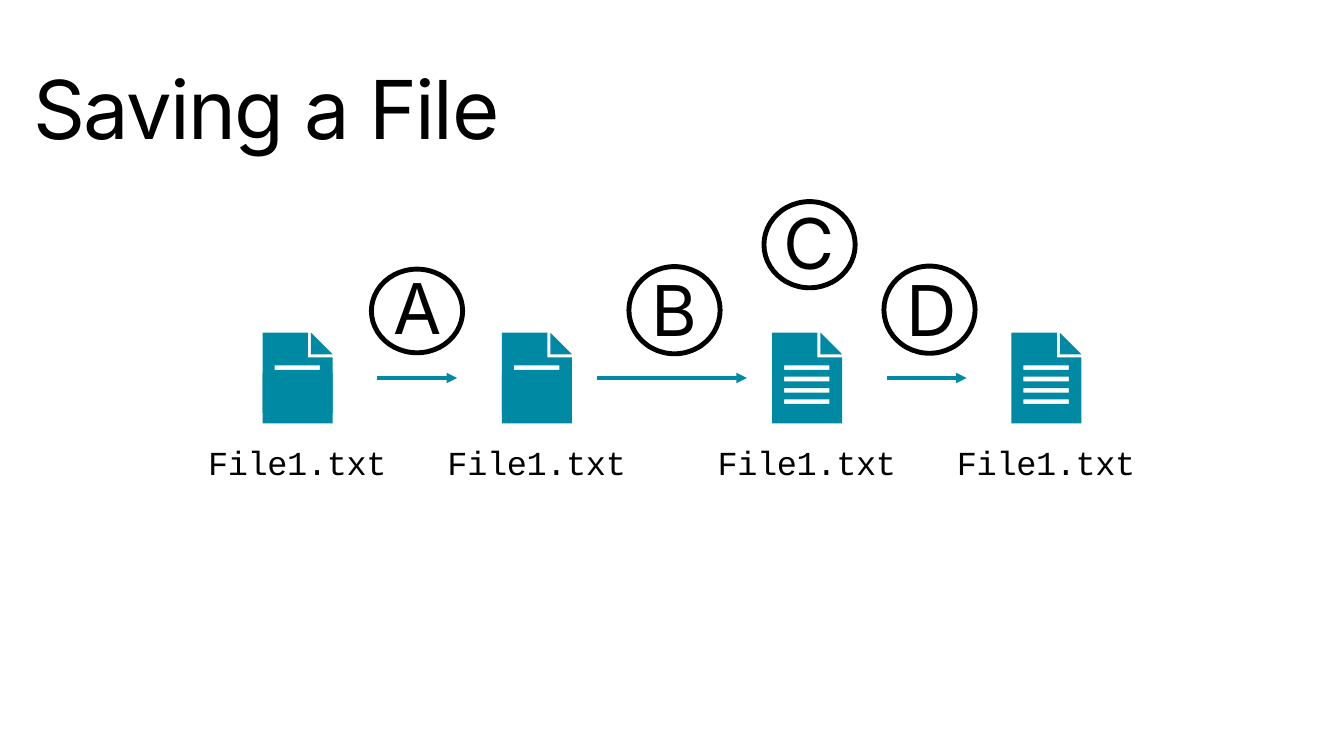
"""Build the "Saving a File" slide: four file states joined by lettered steps."""
from lxml import etree
from pptx import Presentation
from pptx.dml.color import RGBColor
from pptx.enum.shapes import MSO_CONNECTOR, MSO_SHAPE
from pptx.enum.text import MSO_ANCHOR, MSO_AUTO_SIZE, PP_ALIGN
from pptx.oxml.ns import qn
from pptx.util import Inches, Pt

TEAL = RGBColor(0x00, 0x89, 0xA3)
BLACK = RGBColor(0x00, 0x00, 0x00)
OVAL, RECT = MSO_SHAPE.OVAL, MSO_SHAPE.RECTANGLE
STRAIGHT = MSO_CONNECTOR.STRAIGHT
MIDDLE = MSO_ANCHOR.MIDDLE
FIT_SHAPE, NO_FIT = MSO_AUTO_SIZE.SHAPE_TO_FIT_TEXT, MSO_AUTO_SIZE.NONE
CENTER, LEFT = PP_ALIGN.CENTER, PP_ALIGN.LEFT

TITLE = "Saving a File"
TITLE_BOX = (0.6, -0.24, 24.03, 5.08)
FILES = [
    {"name": "File1.txt", "left": 5.21, "covered": True},
    {"name": "File1.txt", "left": 9.96, "covered": True},
    {"name": "File1.txt", "left": 15.32, "covered": False},
    {"name": "File1.txt", "left": 20.07, "covered": False},
]
ARROW_GAPS = [0.89, 0.5, 0.89]
STEPS = [
    ("A", (7.71, 5.2, 1.14, 1.74), (7.37, 5.34, 1.81, 1.66), Pt(122)),
    ("B", (12.8, 5.21, 1.17, 1.8), (12.48, 5.29, 1.81, 1.73), Pt(122)),
    ("C", (15.46, 3.9, 1.2, 1.79), (15.16, 4, 1.81, 1.71), None),
    ("D", (17.89, 5.21, 1.2, 1.81), (17.54, 5.28, 1.81, 1.73), None),
]

PAGE_TOP, PAGE_WIDTH, PAGE_HEIGHT = 6.6, 1.39, 1.8
ARROW_Y = 7.5
LABEL_TOP, LABEL_WIDTH, LABEL_HEIGHT = 8.7, 3.67, 0.92
COVER_TOP, COVER_HEIGHT = 7.4, 0.79
RULE_LEFT, RULE_TOP, RULE_WIDTH, RULE_HEIGHT = 0.24, 0.65, 0.9, 0.09
RULE_COUNT, RULE_STEP = 4, 0.225
PAGE_OUTLINE = [(0, 0), (0, 1.8), (1.39, 1.8), (1.39, 0.49), (0.9, 0.49), (0.9, 0)]
PAGE_FOLD = [(0.96, 0), (0.96, 0.43), (1.39, 0.43)]

TITLE_FORMAT = {"name": "Inter", "size": Pt(116)}
LABEL_FORMAT = {"name": "Courier New", "size": Pt(48)}
STEP_FORMAT = {"name": "Inter", "size": Pt(100)}


def inches(values):
    return [Inches(value) for value in values]


def add_text(shapes, text, box, font, paragraph_format, spacing=0, wrap=True, fit=NO_FIT):
    textbox = shapes.add_textbox(*inches(box))
    frame = textbox.text_frame
    frame_format = {"word_wrap": wrap, "auto_size": fit, "vertical_anchor": MIDDLE}
    for side in ("left", "top", "right", "bottom"):
        frame_format[f"margin_{side}"] = Inches(0.06)
    paragraph = frame.paragraphs[0]
    run = paragraph.add_run()
    run.text = text
    run.font.color.rgb = BLACK
    for target, values in ((frame, frame_format), (paragraph, paragraph_format), (run.font, font)):
        for attribute, value in values.items():
            setattr(target, attribute, value)
    if spacing:
        run._r.get_or_add_rPr().set("spc", str(spacing))


def fill_teal(shape):
    shape.shadow.inherit = False
    shape.fill.solid()
    shape.fill.fore_color.rgb = TEAL
    shape.line.fill.background()


def rule_outline(index):
    top = RULE_TOP + index * RULE_STEP
    right, bottom = RULE_LEFT + RULE_WIDTH, top + RULE_HEIGHT
    return [(RULE_LEFT, top), (right, top), (right, bottom), (RULE_LEFT, bottom)]


def add_page(shapes, left, covered):
    outlines = [PAGE_OUTLINE, PAGE_FOLD, *map(rule_outline, range(RULE_COUNT))]
    contours = [[inches((left + x, PAGE_TOP + y)) for x, y in outline] for outline in outlines]
    builder = shapes.build_freeform(*contours[0][0])
    for contour in contours:
        builder.move_to(*contour[0])
        builder.add_line_segments(contour[1:], close=True)
    fill_teal(builder.convert_to_shape())
    if covered:
        fill_teal(shapes.add_shape(RECT, *inches((left, COVER_TOP, PAGE_WIDTH, COVER_HEIGHT))))


def add_arrow(shapes, start, end):
    arrow = shapes.add_connector(STRAIGHT, *inches((start, ARROW_Y, end, ARROW_Y)))
    arrow.line.color.rgb = TEAL
    arrow.line.width = Pt(5)
    etree.SubElement(arrow.line._get_or_add_ln(), qn("a:tailEnd"), type="triangle")
    etree.SubElement(arrow._element.spPr, qn("a:effectLst"))


def add_step(shapes, letter, letter_box, ring_box, line_spacing):
    paragraph_format = {"alignment": CENTER, "line_spacing": line_spacing}
    add_text(shapes, letter, letter_box, STEP_FORMAT, paragraph_format)
    ring = shapes.add_shape(OVAL, *inches(ring_box))
    ring.shadow.inherit = False
    ring.fill.background()
    ring.line.color.rgb = BLACK
    ring.line.width = Pt(7)


def main():
    presentation = Presentation()
    presentation.slide_width, presentation.slide_height = inches((26.67, 15))
    shapes = presentation.slides.add_slide(presentation.slide_layouts[6]).shapes

    add_text(shapes, TITLE, TITLE_BOX, TITLE_FORMAT,
             {"alignment": LEFT, "line_spacing": 0.8}, spacing=-230)
    for file in FILES:
        add_page(shapes, file["left"], file["covered"])
        label_left = file["left"] + (PAGE_WIDTH - LABEL_WIDTH) / 2
        add_text(shapes, file["name"], (label_left, LABEL_TOP, LABEL_WIDTH, LABEL_HEIGHT),
                 LABEL_FORMAT, {"alignment": LEFT, "space_before": Pt(18)},
                 spacing=-50, wrap=False, fit=FIT_SHAPE)
    for before, after, gap in zip(FILES, FILES[1:], ARROW_GAPS):
        add_arrow(shapes, before["left"] + PAGE_WIDTH + gap, after["left"] - gap)
    for step in STEPS:
        add_step(shapes, *step)

    presentation.save("out.pptx")


if __name__ == "__main__":
    main()
